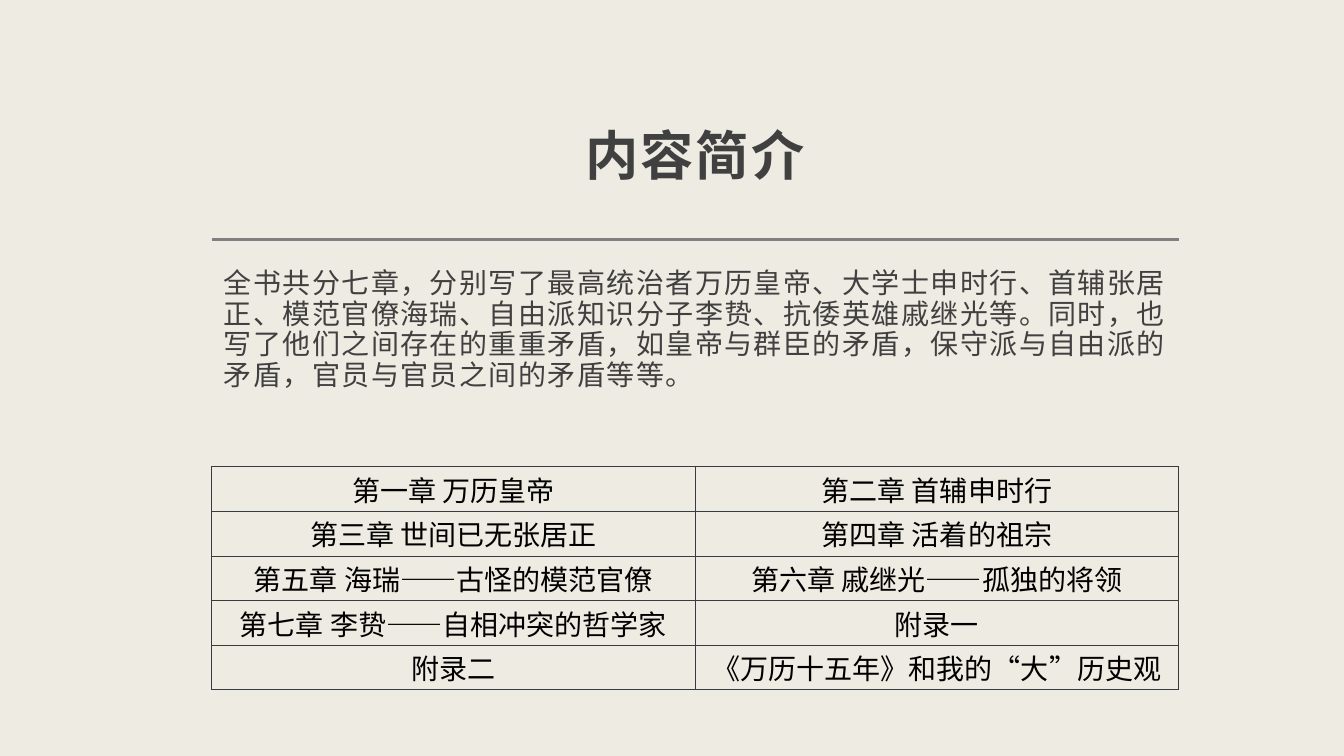
from dataclasses import dataclass
from lxml.etree import SubElement as Sub
from pptx import Presentation
from pptx.dml.color import RGBColor as Rgb
from pptx.enum.text import MSO_ANCHOR as Anchor, MSO_AUTO_SIZE as Fit, PP_ALIGN as Align
from pptx.oxml.ns import qn
from pptx.util import Inches, Pt


@dataclass
class Theme:
    font: str = "Noto Sans CJK SC"
    paper: str = "EEEBE2"
    rule: str = "808080"
    grid: str = "373C3E"
    ink: str = "404040"
    black: str = "000000"
    head: int = 38
    body: int = 20


theme = Theme()


def write(frame, text, size, color, align, bold=False, gap=0):
    """Fill a text frame with one paragraph; gap is letter spacing in points."""
    para = frame.paragraphs[0]
    para.alignment = align
    run = para.add_run()
    run.text = text
    font = run.font
    font.name, font.size, font.bold = theme.font, Pt(size), bold
    font.color.rgb = Rgb.from_string(color)
    props = run._r.get_or_add_rPr()
    props.set("spc", str(round(gap * 100)))
    Sub(props, qn("a:ea"), typeface=theme.font)
    return para


def pad(frame):
    frame.margin_left = frame.margin_right = frame.margin_top = Inches(0.12)
    frame.margin_bottom = Inches(0.1)
    frame.word_wrap = True
    frame.auto_size = Fit.NONE


# Slide and its single column
deck = Presentation()
deck.slide_width, deck.slide_height = Inches(13.33), Inches(7.5)
slide = deck.slides.add_slide(deck.slide_layouts[5])
slide.background.fill.solid()
slide.background.fill.fore_color.rgb = Rgb.from_string(theme.paper)
left, wide = Inches(2.1), Inches(9.59)

# Title
title = slide.shapes.title
title.left, title.top, title.width, title.height = left, Inches(0.48), wide, Inches(1.47)
pad(title.text_frame)
title.text_frame.vertical_anchor = Anchor.BOTTOM
para = write(title.text_frame, "内容简介", theme.head, theme.ink, Align.CENTER, True, 1.3)
para.line_spacing = 1.05

# Rule under the title
level = Inches(2.38)
rule = slide.shapes.add_connector(1, left, level, left + wide, level)
rule.line.color.rgb = Rgb.from_string(theme.rule)
rule.line.width = Pt(2)
Sub(rule._element.spPr, qn("a:effectLst"))

# Summary
box = slide.shapes.add_textbox(left, Inches(2.55), wide, Inches(1.9))
pad(box.text_frame)
about = (
    "全书共分七章，分别写了最高统治者万历皇帝、大学士申时行、首辅张居正、"
    "模范官僚海瑞、自由派知识分子李贽、抗倭英雄戚继光等。同时，也写了他们之间"
    "存在的重重矛盾，如皇帝与群臣的矛盾，保守派与自由派的矛盾，"
    "官员与官员之间的矛盾等等。"
)
para = write(box.text_frame, about, theme.body, theme.ink, Align.LEFT, gap=1)
para.line_spacing = 0.91

# Chapter table
parts = [
    ("第一章 万历皇帝", "第二章 首辅申时行"),
    ("第三章 世间已无张居正", "第四章 活着的祖宗"),
    ("第五章 海瑞——古怪的模范官僚", "第六章 戚继光——孤独的将领"),
    ("第七章 李贽——自相冲突的哲学家", "附录一"),
    ("附录二", "《万历十五年》和我的“大”历史观"),
]
high = Inches(0.44)
table = slide.shapes.add_table(
    len(parts), 2, left, Inches(4.63), wide, high * len(parts)).table
table.first_row = table.horz_banding = False
for row, texts in zip(table.rows, parts):
    row.height = high
    for cell, text in zip(row.cells, texts):
        cell.margin_left = cell.margin_right = Inches(0.1)
        cell.margin_top = cell.margin_bottom = Inches(0.02)
        cell.vertical_anchor = Anchor.MIDDLE
        write(cell.text_frame, text, theme.body, theme.black, Align.CENTER)
        props = cell._tc.get_or_add_tcPr()
        for side in ("lnL", "lnR", "lnT", "lnB"):
            edge = Sub(props, qn("a:" + side), w=str(Pt(0.75)))
            Sub(Sub(edge, qn("a:solidFill")), qn("a:srgbClr"), val=theme.grid)
        cell.fill.background()

deck.save("out.pptx")
